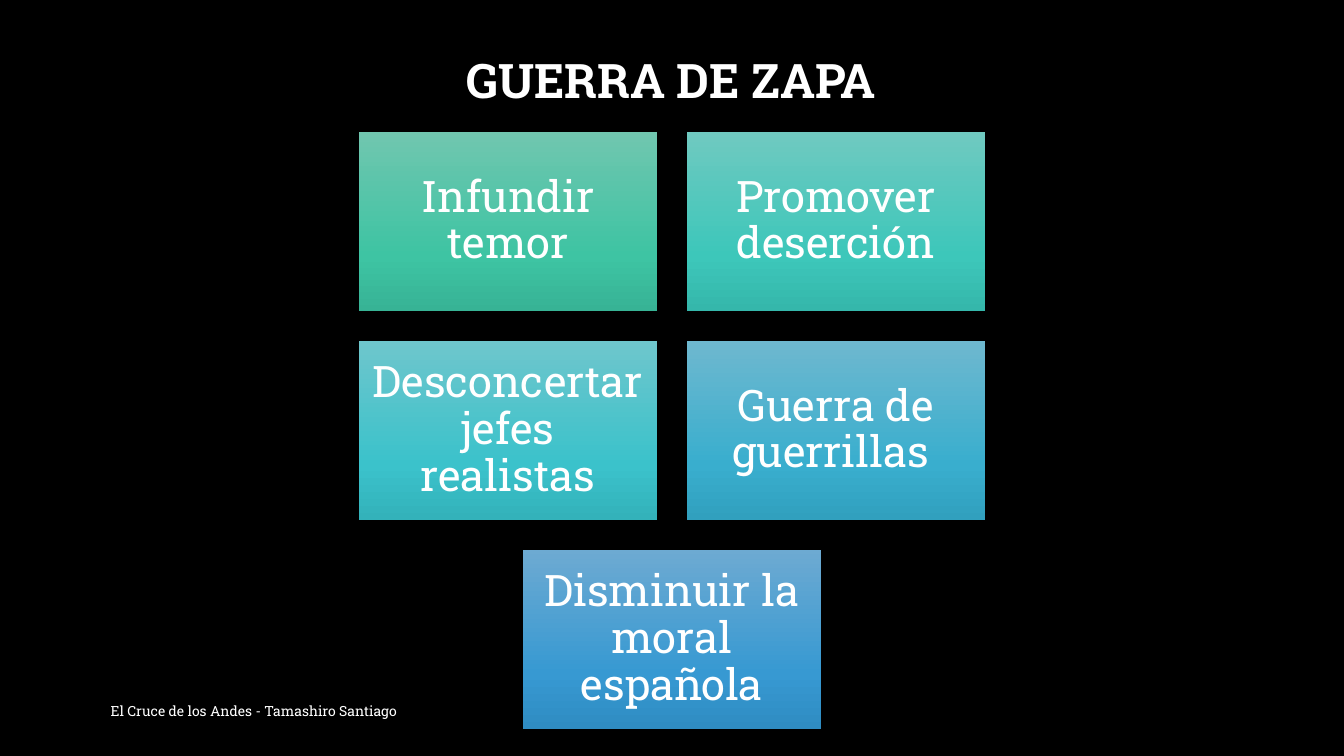
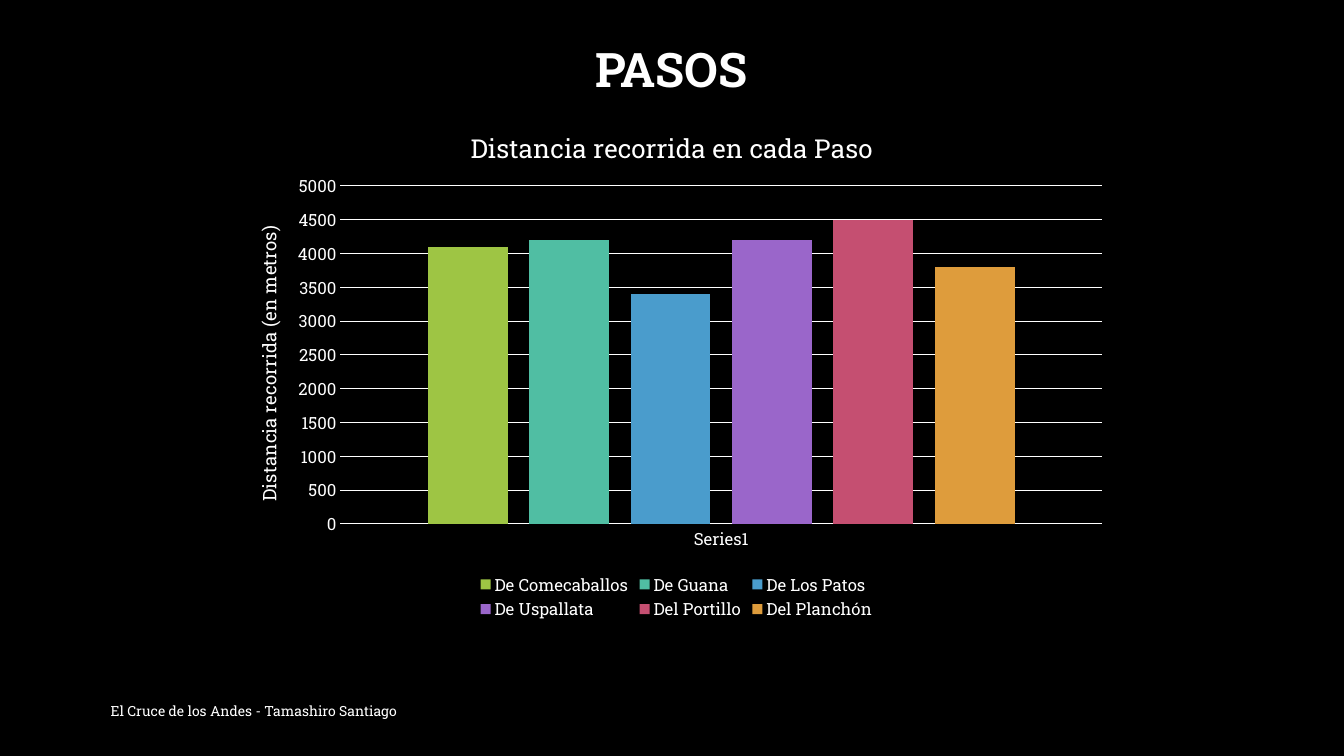
from lxml import etree
from copy import deepcopy
from pptx import Presentation
from pptx.chart.data import CategoryChartData
from pptx.dml.color import RGBColor
from pptx.enum.chart import XL_CHART_TYPE, XL_LEGEND_POSITION, XL_TICK_MARK
from pptx.enum.shapes import MSO_SHAPE
from pptx.enum.text import MSO_ANCHOR, MSO_AUTO_SIZE, PP_ALIGN
from pptx.oxml.ns import qn
from pptx.util import Pt

CENTER = PP_ALIGN.CENTER
MIDDLE, BOTTOM = MSO_ANCHOR.MIDDLE, MSO_ANCHOR.BOTTOM
NO_AUTOFIT = MSO_AUTO_SIZE.NONE
RECTANGLE = MSO_SHAPE.RECTANGLE
COLUMNS = XL_CHART_TYPE.COLUMN_CLUSTERED
LEGEND_BOTTOM = XL_LEGEND_POSITION.BOTTOM
NO_TICKS = XL_TICK_MARK.NONE

FONT = "Roboto Slab"
BLACK, WHITE = "000000", "FFFFFF"
FOOTER = "El Cruce de los Andes - Tamashiro Santiago"
SLIDE_WIDTH, SLIDE_HEIGHT = 960, 540


def color(hex_string):
    return RGBColor.from_string(hex_string)


def set_font(font, size, bold=False):
    values = {"name": FONT, "size": Pt(size), "bold": bold}
    for name, value in values.items():
        setattr(font, name, value)
    font.color.rgb = color(WHITE)


# Shared background
presentation = Presentation()
presentation.slide_width = Pt(SLIDE_WIDTH)
presentation.slide_height = Pt(SLIDE_HEIGHT)
background = presentation.slide_master.background.fill
background.solid()
background.fore_color.rgb = color(BLACK)

# Slides with title and footer: title text, top, height
slides = []
for text, top, height in [("GUERRA DE ZAPA", 27.4, 54), ("PASOS", 0, 73.4)]:
    slide = presentation.slides.add_slide(presentation.slide_layouts[5])
    slides.append(slide)

    title = slide.shapes.title
    box = {"left": 96.5, "top": top, "width": 766, "height": height}
    for name, value in box.items():
        setattr(title, name, Pt(value))
    frame = title.text_frame
    frame.text = text
    frame.auto_size = NO_AUTOFIT
    frame.vertical_anchor = BOTTOM
    paragraph = frame.paragraphs[0]
    paragraph.alignment = CENTER
    paragraph.line_spacing = 0.9
    set_font(paragraph.runs[0].font, 34, bold=True)

    footer = slide.shapes.add_textbox(Pt(72), Pt(493), Pt(526), Pt(29))
    frame = footer.text_frame
    frame.text = FOOTER
    frame.word_wrap = True
    frame.vertical_anchor = MIDDLE
    set_font(frame.paragraphs[0].runs[0].font, 10)

tactics_slide, passes_slide = slides

# Tactic cards: rows centred on the slide
CARD_WIDTH, CARD_HEIGHT, CARD_GAP, CARDS_TOP = 213, 128, 21.3, 94.2
card_rows = [
    [("Infundir temor", ("70C6AF", "3EC4A3", "37B395")),
     ("Promover deserción", ("6FC9C0", "3DC7BA", "35B7AB"))],
    [("Desconcertar jefes realistas", ("6EC6CC", "3BC2CB", "33B2BA")),
     ("Guerra de guerrillas ", ("6EB8CF", "39AECE", "31A0BE"))],
    [("Disminuir la moral española", ("6DAAD2", "3799D2", "2F8CC2"))],
]
for row_index, row in enumerate(card_rows):
    row_width = len(row) * (CARD_WIDTH + CARD_GAP) - CARD_GAP
    row_left = (SLIDE_WIDTH - row_width) / 2
    top = CARDS_TOP + row_index * (CARD_HEIGHT + CARD_GAP)
    for column_index, (text, stop_colors) in enumerate(row):
        left = row_left + column_index * (CARD_WIDTH + CARD_GAP)
        card = tactics_slide.shapes.add_shape(
            RECTANGLE, Pt(left), Pt(top), Pt(CARD_WIDTH), Pt(CARD_HEIGHT))
        card.shadow.inherit = False
        card.line.fill.background()

        # Gradient from top to bottom, with a third stop
        card.fill.gradient()
        card.fill.gradient_angle = 270
        stop_list = next(card._element.spPr.iter(qn("a:gsLst")))
        stop_list.append(deepcopy(stop_list[-1]))
        for stop, position, stop_color in zip(
                card.fill.gradient_stops, (0, 0.69, 1), stop_colors):
            stop.position = position
            stop.color.rgb = color(stop_color)

        frame = card.text_frame
        frame.text = text
        frame.word_wrap = True
        frame.vertical_anchor = MIDDLE
        for side in ("left", "top", "right", "bottom"):
            setattr(frame, f"margin_{side}", Pt(9.3))
        paragraph = frame.paragraphs[0]
        paragraph.alignment = CENTER
        paragraph.line_spacing = 0.9
        set_font(paragraph.runs[0].font, 31)

# Chart of the mountain passes
passes = [
    ("De Comecaballos", 4100, "9EC544"),
    ("De Guana", 4200, "50BEA3"),
    ("De Los Patos", 3400, "4A9CCC"),
    ("De Uspallata", 4200, "9A66CA"),
    ("Del Portillo", 4500, "C54F71"),
    ("Del Planchón", 3800, "DE9C3C"),
]
chart_data = CategoryChartData()
chart_data.categories = ["Series1"]
for name, distance, _ in passes:
    chart_data.add_series(name, [distance])
chart = passes_slide.shapes.add_chart(
    COLUMNS, Pt(160), Pt(73.4), Pt(640), Pt(371.5), chart_data).chart
set_font(chart.font, 12)

# Columns
plot = chart.plots[0]
plot.gap_width = 219
plot.overlap = -27
plot.vary_by_categories = False
for series, (_, _, fill_color) in zip(plot.series, passes):
    series.format.fill.solid()
    series.format.fill.fore_color.rgb = color(fill_color)

# Axes
category_axis, value_axis = chart.category_axis, chart.value_axis
for axis in (category_axis, value_axis):
    axis.major_tick_mark = NO_TICKS
    axis.minor_tick_mark = NO_TICKS
    set_font(axis.tick_labels.font, 12)
value_axis.minimum_scale = 0
value_axis.maximum_scale = 5000
value_axis.major_unit = 500
value_axis.format.line.fill.background()
for line in (category_axis.format.line, value_axis.major_gridlines.format.line):
    line.color.rgb = color(WHITE)
    line.width = Pt(0.75)

# Chart title, axis title and legend
for titled, text, size in [
        (chart.chart_title, "Distancia recorrida en cada Paso", 18.6),
        (value_axis.axis_title, "Distancia recorrida (en metros)", 13.3)]:
    titled.text_frame.text = text
    set_font(titled.text_frame.paragraphs[0].runs[0].font, size)
axis_body = value_axis.axis_title.text_frame._txBody.bodyPr
axis_body.set("rot", "-5400000")
axis_body.set("vert", "horz")
chart.has_legend = True
chart.legend.position = LEGEND_BOTTOM
chart.legend.include_in_layout = False
set_font(chart.legend.font, 12)

# Places inside the chart, as fractions of its size
plot_area = chart._chartSpace.chart.plotArea
for element, index, places in [
        (plot_area, 0, {"x": 0.13, "y": 0.16, "w": 0.85, "h": 0.65}),
        (chart.chart_title._element, 1, {"x": 0.27, "y": 0.04}),
        (value_axis.axis_title._element, 1, {"x": 0.03, "y": 0.23}),
        (chart.legend._element, 1, {"x": 0.28, "y": 0.9, "w": 0.45, "h": 0.1})]:
    for old_layout in element.findall(qn("c:layout")):
        element.remove(old_layout)
    layout = etree.Element(qn("c:layout"))
    manual = etree.SubElement(layout, qn("c:manualLayout"))
    settings = {"xMode": "edge", "yMode": "edge", **places}
    if element is plot_area:
        settings = {"layoutTarget": "inner", **settings}
    for name, value in settings.items():
        etree.SubElement(manual, qn(f"c:{name}")).set("val", str(value))
    element.insert(index, layout)

presentation.save("out.pptx")
